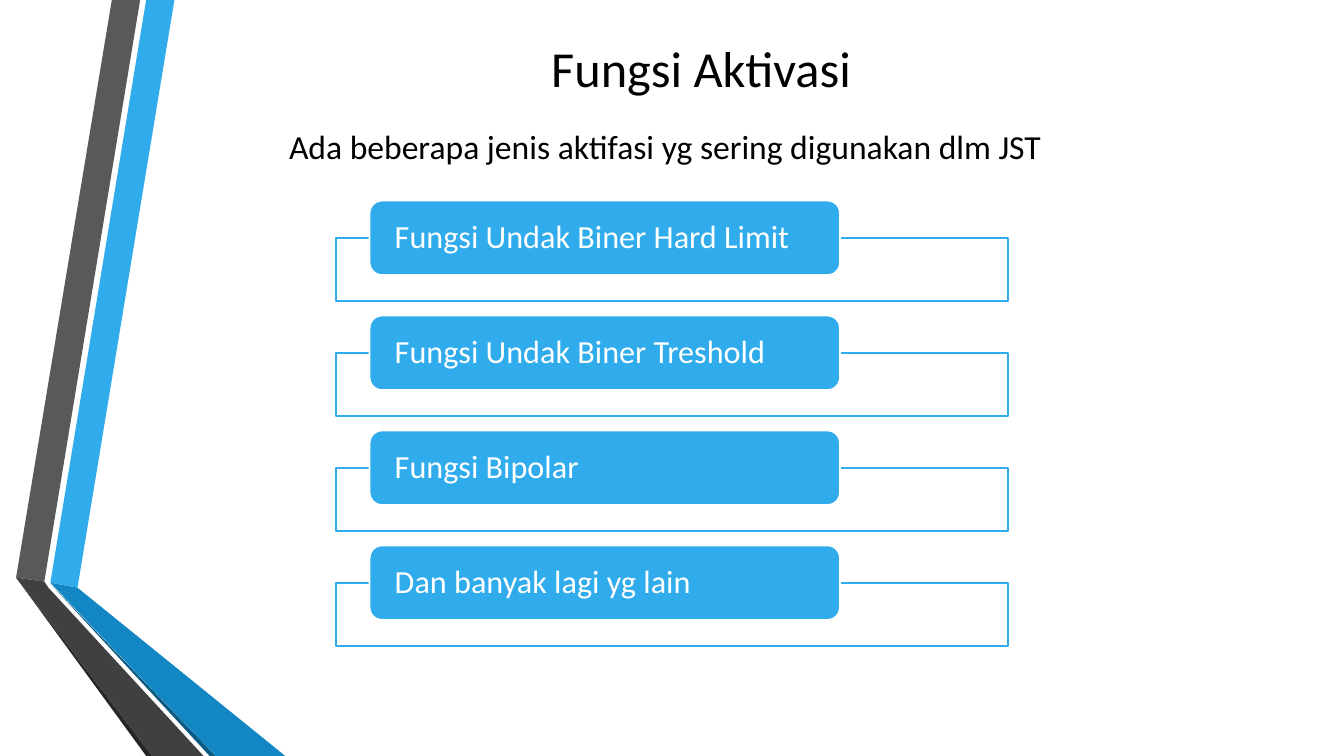
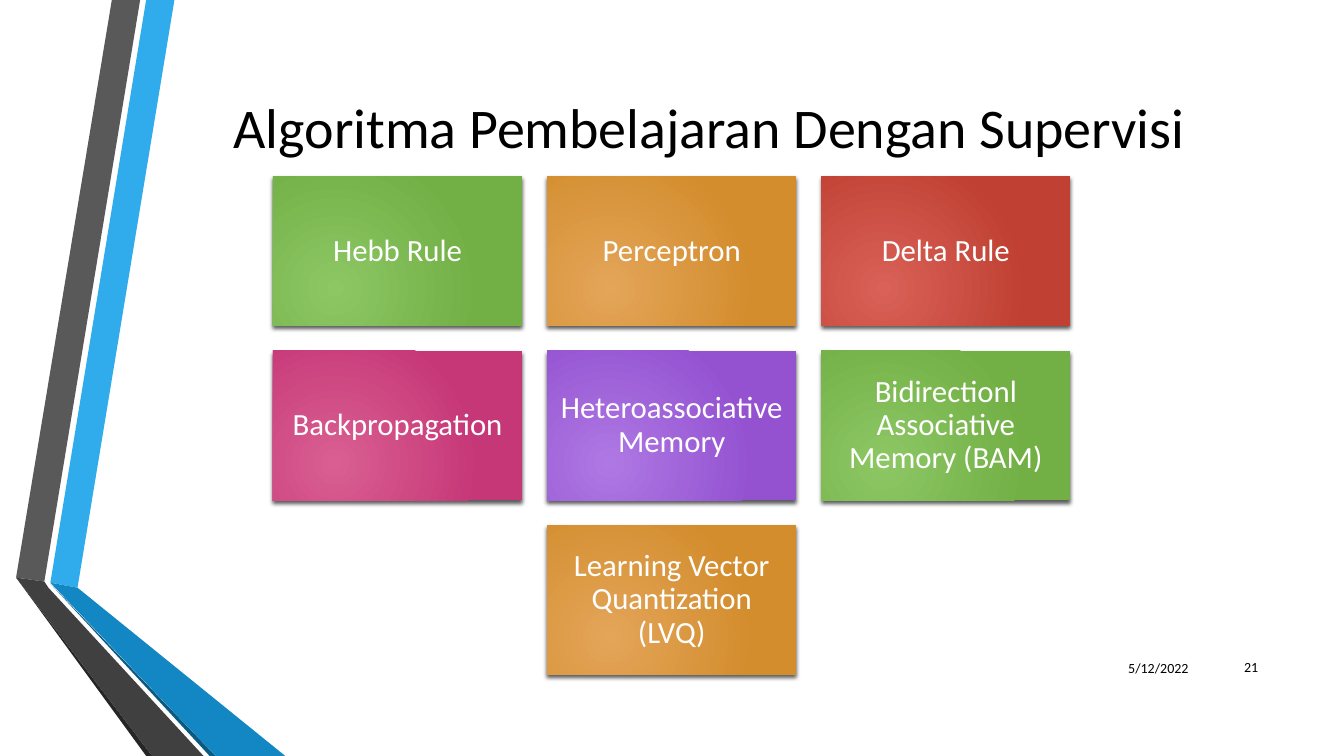
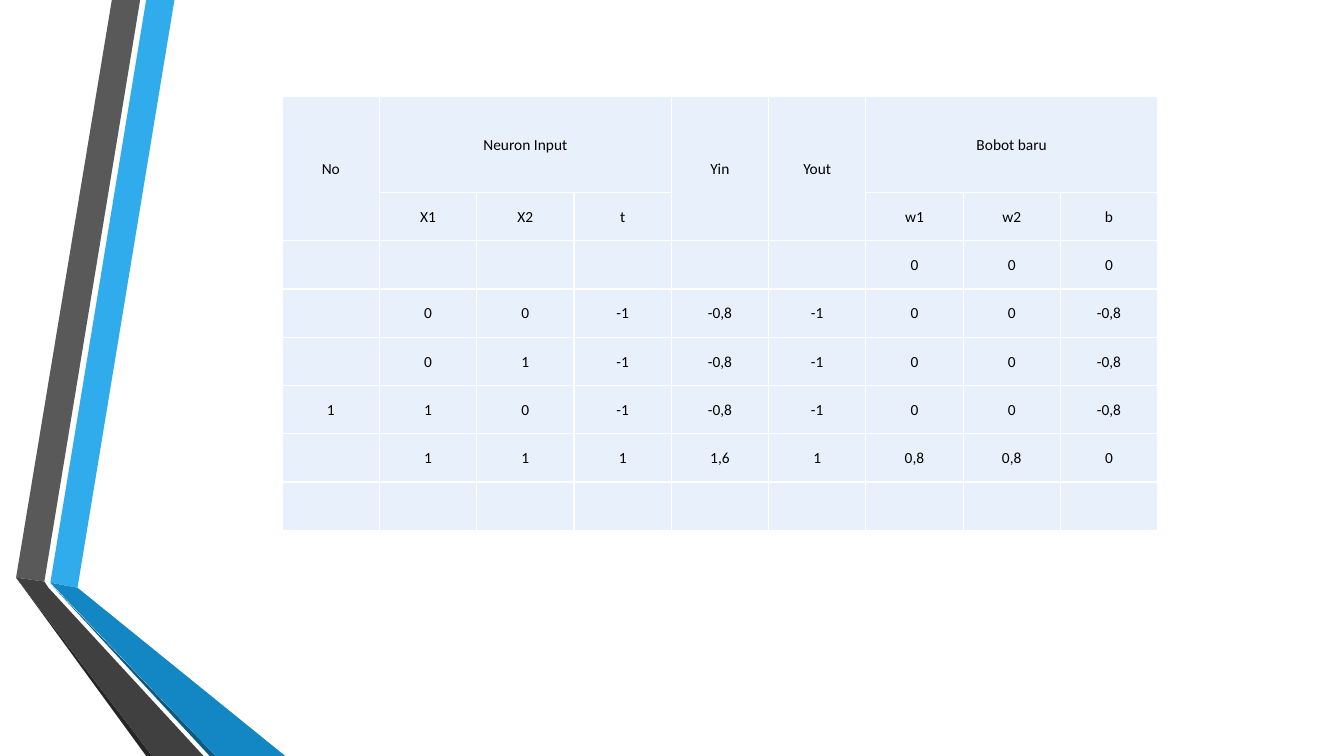
"""Three slides on activation functions and supervised learning."""
from pptx import Presentation
from pptx.dml.color import RGBColor
from pptx.enum import shapes, text
from pptx.oxml import parse_xml
from pptx.oxml.ns import nsdecls, qn
from pptx.util import Pt

FONT = "Calibri"
BLACK = RGBColor(0x00, 0x00, 0x00)
WHITE = RGBColor(0xFF, 0xFF, 0xFF)
SKY = RGBColor(0x30, 0xAC, 0xEC)
PALE = RGBColor(0xE8, 0xF1, 0xFB)
GREY = RGBColor(0x59, 0x59, 0x59)
COAL = RGBColor(0x40, 0x40, 0x40)
INK = RGBColor(0x26, 0x26, 0x26)
NAVY = RGBColor(0x0C, 0x5A, 0x82)
DEEP = RGBColor(0x12, 0x87, 0xC3)
GREEN = RGBColor(0x8C, 0xC7, 0x64), RGBColor(0x72, 0xAF, 0x45)
AMBER = RGBColor(0xE4, 0xA5, 0x59), RGBColor(0xD3, 0x8D, 0x2D)
RED = RGBColor(0xD9, 0x61, 0x57), RGBColor(0xC0, 0x40, 0x33)
PINK = RGBColor(0xD9, 0x5F, 0x92), RGBColor(0xC6, 0x37, 0x77)
VIOLET = RGBColor(0xAE, 0x78, 0xE3), RGBColor(0x94, 0x52, 0xD1)
HUES = [GREEN, AMBER, RED, PINK, VIOLET]

LEFT, MID, RIGHT = text.PP_ALIGN.LEFT, text.PP_ALIGN.CENTER, text.PP_ALIGN.RIGHT
RECT, ROUND = shapes.MSO_SHAPE.RECTANGLE, shapes.MSO_SHAPE.ROUNDED_RECTANGLE

BANDS = [
    (SKY, [(36, 416.2), (55.4, 419.8), (124.6, 0), (104.4, 0)]),
    (GREY, [(100.1, 0), (79.9, 0), (11.5, 412.6), (31.7, 415.4)]),
    (INK, [(11.5, 412.6), (104.4, 540), (108.7, 540)]),
    (NAVY, [(36, 416.9), (149.8, 540), (154.1, 540)]),
    (DEEP, [(36, 416.2), (154.1, 540), (203.8, 540), (55.4, 419.8)]),
    (COAL, [(145.4, 540), (34.6, 419.8), (31.7, 415.4), (11.5, 412.6), (108.7, 540)]),
]
KINDS = ["Fungsi Undak Biner Hard Limit", "Fungsi Undak Biner Treshold",
         "Fungsi Bipolar", "Dan banyak lagi yg lain"]
RULES = ["Hebb Rule", "Perceptron", "Delta Rule", "Backpropagation",
         "Heteroassociative Memory", "Bidirectionl Associative Memory (BAM)",
         "Learning Vector Quantization (LVQ)"]
ROWS = [
    ["No", "Neuron Input", "", "", "Yin", "Yout", "Bobot baru", "", ""],
    ["", "X1", "X2", "t", "", "", "w1", "w2", "b"],
    ["", "", "", "", "", "", "0", "0", "0"],
    ["", "0", "0", "-1", "-0,8", "-1", "0", "0", "-0,8"],
    ["", "0", "1", "-1", "-0,8", "-1", "0", "0", "-0,8"],
    ["1", "1", "0", "-1", "-0,8", "-1", "0", "0", "-0,8"],
    ["", "1", "1", "1", "1,6", "1", "0,8", "0,8", "0"],
    [""] * 9,
]
SPANS = [(0, 0, 1, 0), (0, 1, 0, 3), (0, 4, 1, 4), (0, 5, 1, 5), (0, 6, 0, 8)]


def pts(*nums):
    """Turn numbers into lengths in points."""
    return [Pt(n) for n in nums]


def write(frame, words, size=11, color=BLACK, align=MID, space=None, pad=None):
    """Put one formatted paragraph in a text frame."""
    frame.word_wrap = True
    frame.auto_size = text.MSO_AUTO_SIZE.NONE
    frame.vertical_anchor = text.MSO_ANCHOR.MIDDLE
    if pad:
        (frame.margin_left, frame.margin_top,
         frame.margin_right, frame.margin_bottom) = pts(*pad)
    para = frame.paragraphs[0]
    para.alignment = align
    para.line_spacing = space
    run = para.add_run()
    run.text = words
    run.font.name, run.font.size, run.font.color.rgb = FONT, Pt(size), color


class Deck:
    """Hold the style and the current slide."""

    def __init__(self):
        """Start a wide deck."""
        self.prs = Presentation()
        self.prs.slide_width, self.prs.slide_height = pts(960, 540)
        self.slide = None

    def page(self, layout):
        """Add a slide; the first one also gives the master its bands."""
        first = self.slide is None
        self.slide = self.prs.slides.add_slide(self.prs.slide_layouts[layout])
        if first:
            tree = self.prs.slide_master.element.cSld.spTree
            for at, (color, spots) in enumerate(BANDS, 2):
                tree.insert(at, self.band(color, spots).element)

    def band(self, color, spots):
        """Draw a closed outline."""
        spots = [pts(*spot) for spot in spots]
        pen = self.slide.shapes.build_freeform(*spots[0])
        pen.add_line_segments(spots[1:], close=True)
        return self.paint(pen.convert_to_shape(), color)

    def paint(self, shape, fill, line=None):
        """Give a shape a plain fill and line, with no shadow."""
        shape.shadow.inherit = False
        shape.fill.solid()
        shape.fill.fore_color.rgb = fill
        if line:
            shape.line.color.rgb, shape.line.width = line, Pt(1.25)
        else:
            shape.line.fill.background()
        return shape

    def title(self, words, box, size):
        """Move and fill the title placeholder."""
        head = self.slide.shapes.title
        head.left, head.top, head.width, head.height = pts(*box)
        write(head.text_frame, words, size=size)

    def label(self, words, box, **style):
        """Add a text box."""
        area = self.slide.shapes.add_textbox(*pts(*box))
        write(area.text_frame, words, **style)

    def shape(self, kind, box, fill, line=None):
        """Add a preset shape."""
        return self.paint(self.slide.shapes.add_shape(kind, *pts(*box)), fill, line)

    def entry(self, words, top):
        """Add a list entry: a frame under a rounded name plate."""
        frame = self.shape(RECT, (240, top + 26.6, 480, 45.4), WHITE, SKY)
        tint = frame.fill.fore_color
        clear = parse_xml(f'<a:alpha {nsdecls("a")} val="90000"/>')
        frame.element.spPr.find(f'{qn("a:solidFill")}/{qn("a:srgbClr")}').append(clear)
        plate = self.shape(ROUND, (264, top, 336, 53.2), SKY, WHITE)
        write(plate.text_frame, words, size=23, color=WHITE, align=LEFT,
              space=0.9, pad=(15.4, 0, 15.4, 0))

    def tile(self, words, box, hues):
        """Add a glowing tile with a soft shadow."""
        tile = self.shape(RECT, box, hues[0])
        tile.fill.gradient()
        for stop, hue in zip(tile.fill.gradient_stops, hues):
            stop.color.rgb = hue
        props = tile.element.spPr
        grad = props.find(qn("a:gradFill"))
        grad.replace(grad.find(qn("a:lin")), parse_xml(
            f'<a:path {nsdecls("a")} path="circle"><a:fillToRect l="50000" '
            't="100000" r="100000" b="50000"/></a:path>'))
        props.find(qn("a:effectLst")).append(parse_xml(
            f'<a:outerShdw {nsdecls("a")} blurRad="{Pt(3)}" dist="{Pt(2)}" '
            'dir="5400000" rotWithShape="0"><a:srgbClr val="000000">'
            '<a:alpha val="64000"/></a:srgbClr></a:outerShdw>'))
        write(tile.text_frame, words, size=22, color=WHITE, space=0.9, pad=[6.5] * 4)

    def cell(self, cell, words):
        """Fill one table cell and rule its edges."""
        props = cell._tc.get_or_add_tcPr()
        for edge in "LRTB":
            props.append(parse_xml(
                f'<a:ln{edge} {nsdecls("a")} w="{Pt(1)}"><a:solidFill>'
                f'<a:srgbClr val="{WHITE}"/></a:solidFill></a:ln{edge}>'))
        cell.fill.solid()
        cell.fill.fore_color.rgb = PALE
        cell.vertical_anchor = text.MSO_ANCHOR.MIDDLE
        (cell.margin_left, cell.margin_top,
         cell.margin_right, cell.margin_bottom) = pts(0.7, 0.7, 0.7, 0)
        para = cell.text_frame.paragraphs[0]
        para.alignment = MID
        para.font.size = Pt(11)
        if words:
            run = para.add_run()
            run.text = words
            run.font.name, run.font.size, run.font.color.rgb = FONT, Pt(11), BLACK

    def table(self, rows, spans, left, top, wide, high):
        """Add a table whose first row is twice as high."""
        size = pts(left, top, wide * len(rows[0]), high * (len(rows) + 1))
        grid = self.slide.shapes.add_table(len(rows), len(rows[0]), *size).table
        grid.first_row = grid.horz_banding = False
        for col in grid.columns:
            col.width = Pt(wide)
        for r, row in enumerate(rows):
            grid.rows[r].height = Pt(high if r else 2 * high)
            for c, words in enumerate(row):
                self.cell(grid.cell(r, c), words)
        for r, c, down, over in spans:
            grid.cell(r, c).merge(grid.cell(down, over))


def main():
    """Build the slides."""
    deck = Deck()

    deck.page(5)
    deck.title("Fungsi Aktivasi", (197.3, 36, 607, 23.8), 36)
    deck.label("Ada beberapa jenis aktifasi yg sering digunakan dlm JST",
               (199.4, 86, 607, 36), size=24, align=LEFT)
    for i, kind in enumerate(KINDS):
        deck.entry(kind, 143.3 + 82.1 * i)

    deck.page(5)
    deck.title("Algoritma Pembelajaran Dengan Supervisi ", (116.6, 54, 789, 72), 40)
    wide, high, gap, cols = 178, 106.8, 17.8, 3
    for i, rule in enumerate(RULES):
        row, col = divmod(i, cols)
        spare = cols - min(cols, len(RULES) - row * cols)
        left = 195 + (col + spare / 2) * (wide + gap)
        deck.tile(rule, (left, 126 + row * (high + gap), wide, high),
                  HUES[i % len(HUES)])
    deck.label("5/12/2022", (766, 463, 90, 28.8), size=10, align=RIGHT)
    deck.label("21", (862.6, 462.2, 43.2, 28.8), size=10, align=RIGHT)

    deck.page(6)
    deck.table(ROWS, SPANS, 201.6, 68.7, 69.5, 34.45)

    deck.prs.save("out.pptx")


if __name__ == "__main__":
    main()
